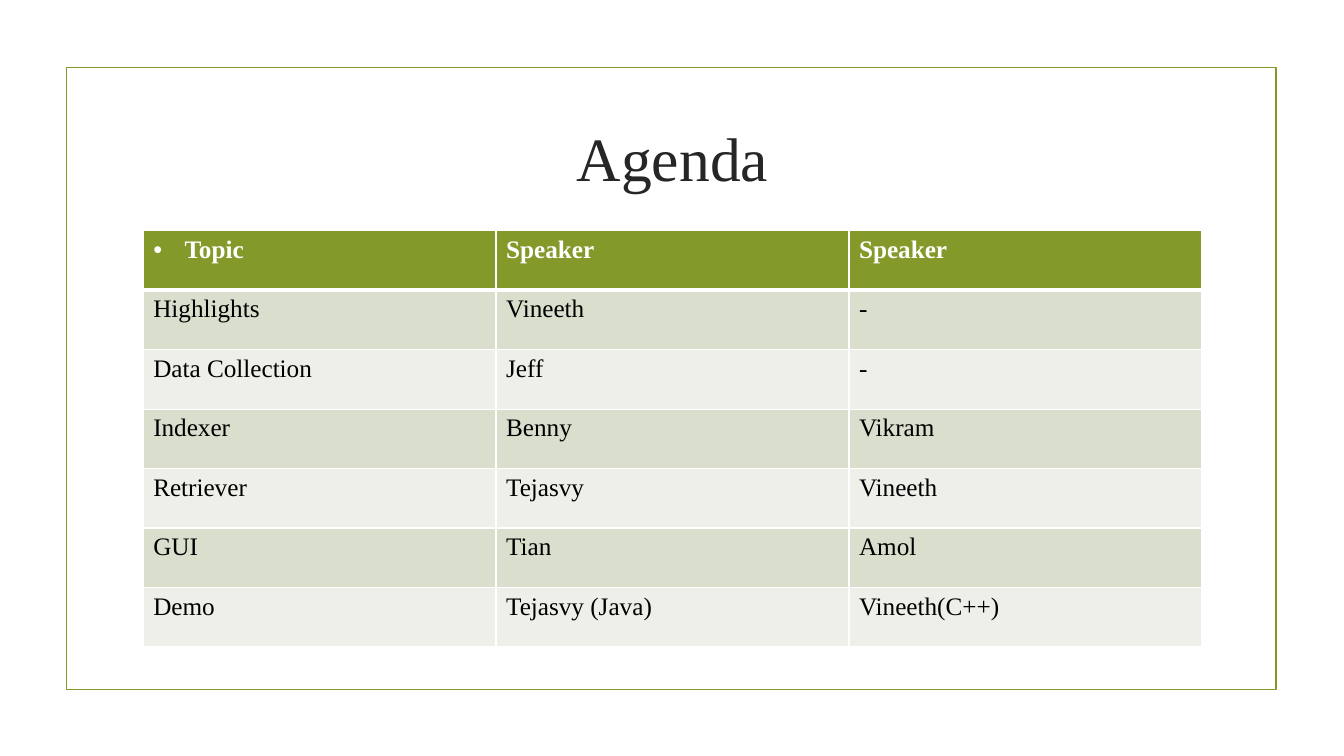
from dataclasses import dataclass

from lxml import etree
from pptx import Presentation
from pptx import util as u
from pptx.dml.color import RGBColor
from pptx.enum import shapes, text
from pptx.oxml import ns


@dataclass(frozen=True)
class Theme:
    font: str = "Times New Roman"
    title_size: int = 44
    table_size: int = 18
    accent: str = "83992A"
    title: str = "262626"
    body: str = "000000"
    light: str = "FFFFFF"
    bands: tuple = ("D9DECD", "EDEFE8")
    frame_line: float = 1.25
    cell_line: float = 1
    header_line: float = 3


@dataclass(frozen=True)
class Box:
    left: float
    top: float
    width: float
    height: float

    def inches(self):
        return [u.Inches(n) for n in (self.left, self.top, self.width, self.height)]


THEME = Theme()
FRAME = Box(0.66, 0.67, 12, 6.17)
TITLE = Box(1.42, 1.07, 10.5, 0.98)
TABLE = Box(1.42, 2.29, 10.5, 4.13)

AGENDA = [
    ("Topic", "Speaker", "Speaker"),
    ("Highlights", "Vineeth", "-"),
    ("Data Collection", "Jeff", "-"),
    ("Indexer", "Benny", "Vikram"),
    ("Retriever", "Tejasvy", "Vineeth"),
    ("GUI", "Tian", "Amol"),
    ("Demo", "Tejasvy (Java)", "Vineeth(C++)"),
]


def style_text(para, size, color, bold=False):
    for span in para.runs:
        span.font.name = THEME.font
        span.font.size = u.Pt(size)
        span.font.bold = bold
        span.font.color.rgb = RGBColor.from_string(color)


def add_bullet(para, indent):
    properties = para._p.get_or_add_pPr()
    properties.set("marL", str(u.Inches(indent)))
    properties.set("indent", str(-u.Inches(indent)))
    font = etree.SubElement(properties, ns.qn("a:buFont"))
    font.set("typeface", "Arial")
    etree.SubElement(properties, ns.qn("a:buChar")).set("char", "•")


def set_border(cell, side, width):
    line = etree.SubElement(cell._tc.get_or_add_tcPr(), ns.qn(f"a:ln{side}"))
    line.set("w", str(u.Pt(width)))
    fill = etree.SubElement(line, ns.qn("a:solidFill"))
    etree.SubElement(fill, ns.qn("a:srgbClr")).set("val", THEME.light)


def draw_frame(page, box):
    frame = page.shapes.add_shape(shapes.MSO_SHAPE.RECTANGLE, *box.inches())
    frame.shadow.inherit = False
    frame.fill.background()
    frame.line.color.rgb = RGBColor.from_string(THEME.accent)
    frame.line.width = u.Pt(THEME.frame_line)


def draw_title(page, box, wording):
    frame = page.shapes.add_textbox(*box.inches()).text_frame
    frame.word_wrap = True
    frame.vertical_anchor = text.MSO_ANCHOR.MIDDLE
    frame.text = wording
    para = frame.paragraphs[0]
    para.alignment = text.PP_ALIGN.CENTER
    style_text(para, THEME.title_size, THEME.title)


def draw_cell(cell, wording, row):
    header = row == 0
    # The rule under the header is heavier on both cells that share it
    top = THEME.header_line if row == 1 else THEME.cell_line
    bottom = THEME.header_line if header else THEME.cell_line
    for side, width in zip("LRTB", (THEME.cell_line, THEME.cell_line, top, bottom)):
        set_border(cell, side, width)
    fill = THEME.accent if header else THEME.bands[(row - 1) % 2]
    cell.fill.solid()
    cell.fill.fore_color.rgb = RGBColor.from_string(fill)
    cell.text_frame.text = wording
    color = THEME.light if header else THEME.body
    style_text(cell.text_frame.paragraphs[0], THEME.table_size, color, header)


def draw_table(page, box, rows):
    table = page.shapes.add_table(len(rows), len(rows[0]), *box.inches()).table
    for row, entries in enumerate(rows):
        for column, wording in enumerate(entries):
            draw_cell(table.cell(row, column), wording, row)
    add_bullet(table.cell(0, 0).text_frame.paragraphs[0], 0.31)


def main():
    deck = Presentation()
    deck.slide_width, deck.slide_height = u.Inches(13.33), u.Inches(7.5)
    page = deck.slides.add_slide(deck.slide_layouts[6])
    draw_frame(page, FRAME)
    draw_title(page, TITLE, "Agenda")
    draw_table(page, TABLE, AGENDA)
    deck.save("out.pptx")


if __name__ == "__main__":
    main()
